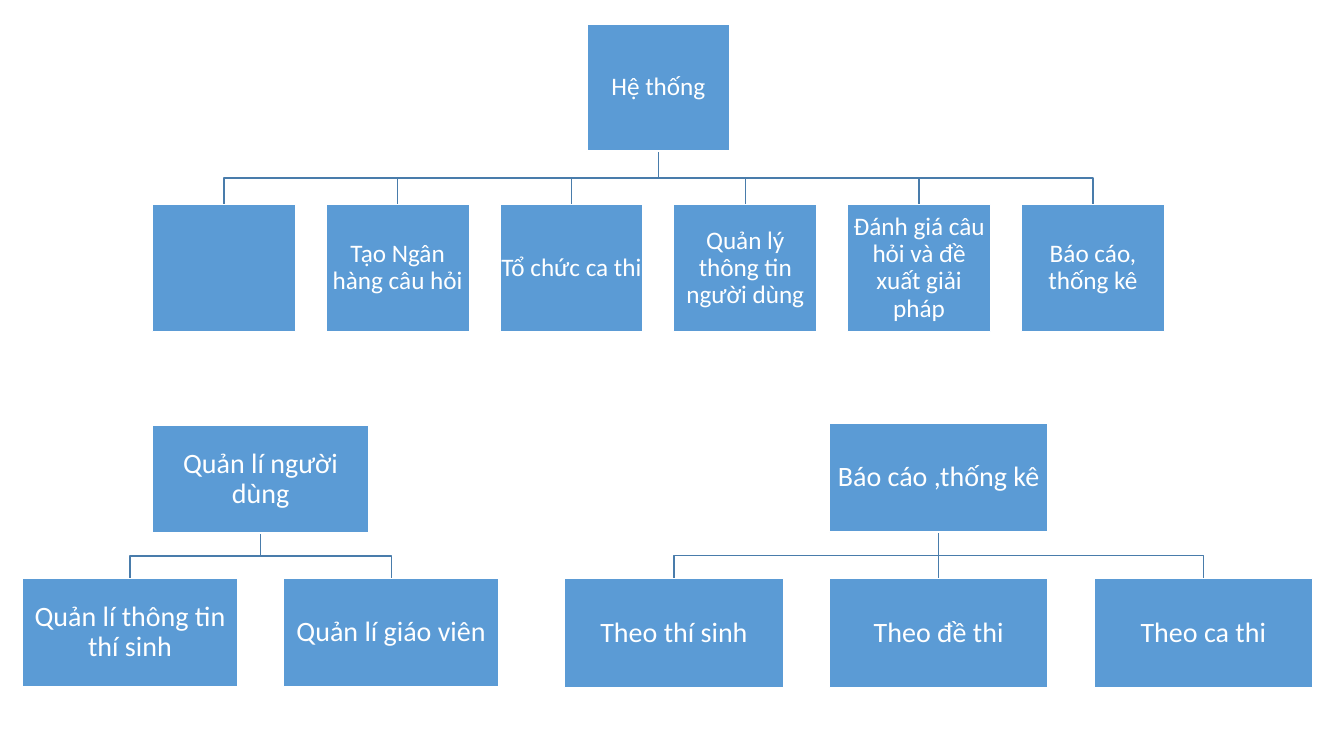
from lxml import etree
from pptx import Presentation
from pptx.dml.color import RGBColor
from pptx.enum import shapes, text
from pptx.oxml import ns
from pptx.util import Inches, Pt


def paint(fmt, color):
    if hasattr(fmt, "solid"):
        fmt.solid()
        fmt.fore_color.rgb = RGBColor.from_string(color)
    else:
        fmt.color.rgb = RGBColor.from_string(color)


def add_box(slide, label, left, top, width, height, size):
    shape = slide.shapes.add_shape(
        shapes.MSO_SHAPE.RECTANGLE, Inches(left), Inches(top), Inches(width), Inches(height))
    shape.shadow.inherit = False
    paint(shape.fill, "5B9BD5")
    paint(shape.line, "FFFFFF")
    shape.line.width = Pt(1)
    frame = shape.text_frame
    frame.word_wrap = True
    frame.vertical_anchor = text.MSO_ANCHOR.MIDDLE
    frame.margin_left = frame.margin_right = Inches(0.01)
    frame.margin_top = frame.margin_bottom = Inches(0.01)
    paragraph = frame.paragraphs[0]
    paragraph.text = label
    paragraph.alignment = text.PP_ALIGN.CENTER
    paragraph.line_spacing = 0.9
    paragraph.font.name = "Calibri"
    paragraph.font.size = Pt(size)
    paint(paragraph.font, "FFFFFF")


presentation = Presentation()
presentation.slide_width = Inches(13.33)
presentation.slide_height = Inches(7.5)
slide = presentation.slides.add_slide(presentation.slide_layouts[6])

trees = [
    ("Quản lí người dùng", ["Quản lí thông tin thí sinh", "Quản lí giáo viên"],
     0.22, 2.81, 4.22, 5.74, 2.14, 1.07, 20),
    ("Báo cáo ,thống kê", ["Theo thí sinh", "Theo đề thi", "Theo ca thi"],
     5.6, 10.85, 4.2, 5.74, 2.17, 1.08, 20),
    ("Hệ thống",
     ["", "Tạo Ngân hàng câu hỏi", "Tổ chức ca thi", "Quản lý thông tin người dùng",
      "Đánh giá câu hỏi và đề xuất giải pháp", "Báo cáo, thống kê"],
     1.51, 10.13, 0.24, 2.03, 1.42, 1.26, 18),
]

for root, children, first, last, root_top, child_top, width, height, size in trees:
    root_left = (first + last) / 2
    pitch = (last - first) / (len(children) - 1)
    lefts = [first + pitch * index for index in range(len(children))]
    root_x = Inches(root_left + width / 2)
    start_y = Inches(root_top + height)
    middle_y = Inches((root_top + height + child_top) / 2)
    end_y = Inches(child_top)

    for left in lefts:
        child_x = Inches(left + width / 2)
        if abs(left - root_left) < 0.01:
            branch = slide.shapes.add_connector(
                shapes.MSO_CONNECTOR.STRAIGHT, root_x, start_y, root_x, end_y)
            etree.SubElement(branch._element.spPr, ns.qn("a:effectLst"))
        else:
            builder = slide.shapes.build_freeform(root_x, start_y)
            builder.add_line_segments(
                [(root_x, middle_y), (child_x, middle_y), (child_x, end_y)], close=False)
            branch = builder.convert_to_shape()
            branch.fill.background()
            branch.shadow.inherit = False
        paint(branch.line, "497CAB")
        branch.line.width = Pt(1)

    add_box(slide, root, root_left, root_top, width, height, size)
    for label, left in zip(children, lefts):
        add_box(slide, label, left, child_top, width, height, size)

presentation.save("out.pptx")
